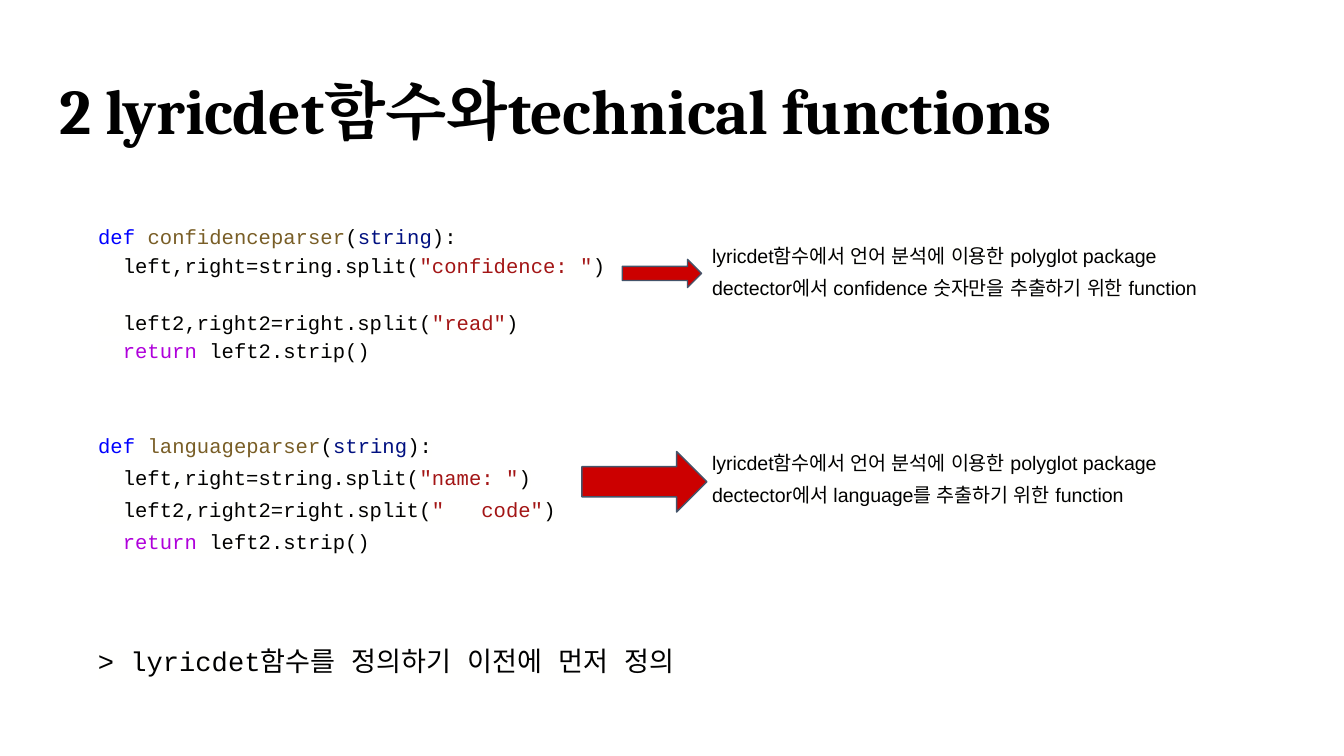
import dataclasses

import pptx
import pptx.dml.color
import pptx.enum.shapes
import pptx.enum.text
import pptx.oxml
import pptx.oxml.ns
import pptx.util

Inches = pptx.util.Inches


@dataclasses.dataclass(frozen=True)
class Theme:
    """Colours, fonts and type sizes of the deck."""
    ink: str = "000000"
    keyword: str = "0000FF"
    name: str = "795E26"
    argument: str = "001080"
    literal: str = "A31515"
    flow: str = "AF00DB"
    highlight: str = "FFFFFE"
    arrow: str = "CC0000"
    outline: str = "44546A"
    title_font: str = "Cambria"
    code_font: str = "Courier New"
    note_font: str = "Arial"
    title_size: float = 34
    code_size: float = 11
    note_size: float = 10.5
    remark_size: float = 14.5


THEME = Theme()


def rgb(value):
    """Turn a hex string into a colour."""
    return pptx.dml.color.RGBColor.from_string(value)


def element(tag, attributes="", content=""):
    """Build a DrawingML element."""
    return pptx.oxml.parse_xml(
        f'<a:{tag} {pptx.oxml.ns.nsdecls("a")} {attributes}>{content}</a:{tag}>')


def place(shape, box):
    """Move a shape to a left, top, width, height box in inches."""
    shape.left, shape.top, shape.width, shape.height = map(Inches, box)


def prepare_frame(shape):
    """Give a text frame even margins, wrapping and a fixed size."""
    frame = shape.text_frame
    frame.word_wrap = True
    frame.auto_size = pptx.enum.text.MSO_AUTO_SIZE.NONE
    frame.vertical_anchor = pptx.enum.text.MSO_ANCHOR.TOP
    frame.margin_left = frame.margin_right = Inches(0.1)
    frame.margin_top = frame.margin_bottom = Inches(0.1)
    return frame


def format_para(para, spacing, before=0):
    """Set a flush left paragraph without a bullet."""
    para.alignment = pptx.enum.text.PP_ALIGN.LEFT
    para.line_spacing = spacing
    para.space_before = pptx.util.Pt(before)
    para.space_after = pptx.util.Pt(0)
    properties = para._p.get_or_add_pPr()
    properties.set("marL", "0")
    properties.set("indent", "0")
    properties.append(element("buNone"))


def format_span(span, font, size, color=THEME.ink, bold=False, highlight=True):
    """Set the font of all scripts, size, colour and highlight of a run."""
    span.font.name = font
    span.font.size = pptx.util.Pt(size)
    span.font.bold = bold
    span.font.color.rgb = rgb(color)
    properties = span._r.get_or_add_rPr()
    for script in ("ea", "cs"):
        properties.append(element(script, f'typeface="{font}"'))
    if highlight:
        fill = properties.find(pptx.oxml.ns.qn("a:solidFill"))
        fill.addnext(element(
            "highlight", content=f'<a:srgbClr val="{THEME.highlight}"/>'))


def fill_title(shape, box, text):
    """Write the slide title."""
    place(shape, box)
    frame = prepare_frame(shape)
    frame.text = text
    format_para(frame.paragraphs[0], 0.9)
    format_span(frame.paragraphs[0].runs[0], THEME.title_font,
                THEME.title_size, bold=True, highlight=False)


def parser_code(name, first, second):
    """Return the coloured lines of one parser function."""
    ink = THEME.ink
    return [
        [("def", THEME.keyword), (" ", ink), (name, THEME.name), ("(", ink),
         ("string", THEME.argument), ("):", ink)],
        [("  left,right=string.split(", ink), (first, THEME.literal), (")", ink)],
        [("  left2,right2=right.split(", ink), (second, THEME.literal), (")", ink)],
        [("  ", ink), ("return", THEME.flow), (" left2.strip()", ink)],
    ]


def fill_code(shape, box, lines, spacing, gap):
    """Write code lines, with a gap in points before the second split."""
    place(shape, box)
    frame = prepare_frame(shape)
    for index, line in enumerate(lines):
        para = frame.add_paragraph() if index else frame.paragraphs[0]
        format_para(para, spacing, gap if index == 2 else 0)
        for text, color in line:
            span = para.add_run()
            span.text = text
            format_span(span, THEME.code_font, THEME.code_size, color)


def add_note(page, box, text, font, size):
    """Add a plain paragraph of text."""
    frame = prepare_frame(page.shapes.add_textbox(*map(Inches, box)))
    frame.text = text
    format_para(frame.paragraphs[0], 1.36)
    format_span(frame.paragraphs[0].runs[0], font, size)


def add_arrow(page, box):
    """Add a red arrow from code to explanation."""
    arrow = page.shapes.add_shape(
        pptx.enum.shapes.MSO_SHAPE.RIGHT_ARROW, *map(Inches, box))
    arrow.shadow.inherit = False
    arrow.fill.solid()
    arrow.fill.fore_color.rgb = rgb(THEME.arrow)
    arrow.line.color.rgb = rgb(THEME.outline)
    arrow.line.width = pptx.util.Pt(0.75)


def add_function_row(page, holder, box, lines, spacing, gap, note, note_box, arrow_box):
    """Lay out code, explanation and arrow relative to the row box."""
    left, top, width, height = box
    fill_code(holder, (left, top, 4.01, height), lines, spacing, gap)
    x, y, wide, high = note_box
    add_note(page, (left + x, top + y, wide, high), note,
             THEME.note_font, THEME.note_size)
    x, y, wide, high = arrow_box
    add_arrow(page, (left + x, top + y, wide, high))


def main():
    """Build and save the deck."""
    deck = pptx.Presentation()
    deck.slide_width, deck.slide_height = Inches(10), Inches(10 * 9 / 16)
    page = deck.slides.add_slide(deck.slide_layouts[3])
    title, first_code, second_code = page.placeholders
    fill_title(title, (0.34, 0.49, 9.32, 0.63),
               "2 lyricdet함수와technical functions")
    note = "lyricdet함수에서 언어 분석에 이용한 polyglot package dectector에서 {} 위한 function"
    add_function_row(
        page, first_code, (0.63, 1.54, 8.5, 1.09),
        parser_code("confidenceparser", '"confidence: "', '"read"'), 1.16, 15,
        note.format("confidence 숫자만을 추출하기"),
        (4.57, 0.11, 3.93, 0.92), (4, 0.39, 0.59, 0.21))
    add_function_row(
        page, second_code, (0.63, 3.07, 8.5, 1.09),
        parser_code("languageparser", '"name: "', '"   code"'), 1.3, 0,
        note.format("language를 추출하기"),
        (4.57, 0.12, 3.93, 0.68), (3.7, 0.29, 0.93, 0.45))
    add_note(page, (0.63, 4.61, 6.21, 0.45),
             "> lyricdet함수를 정의하기 이전에 먼저 정의",
             THEME.code_font, THEME.remark_size)
    deck.save("out.pptx")


if __name__ == "__main__":
    main()
